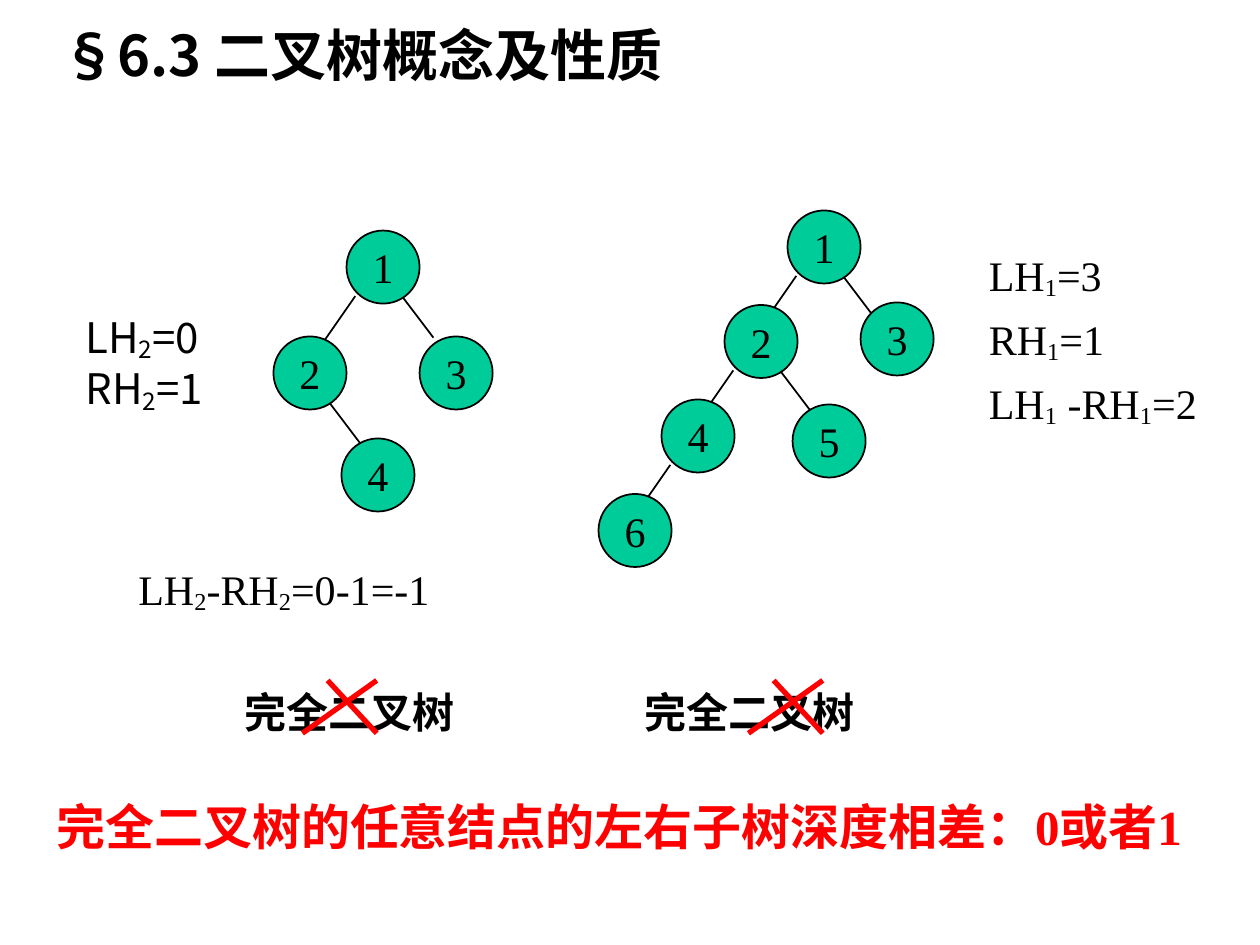
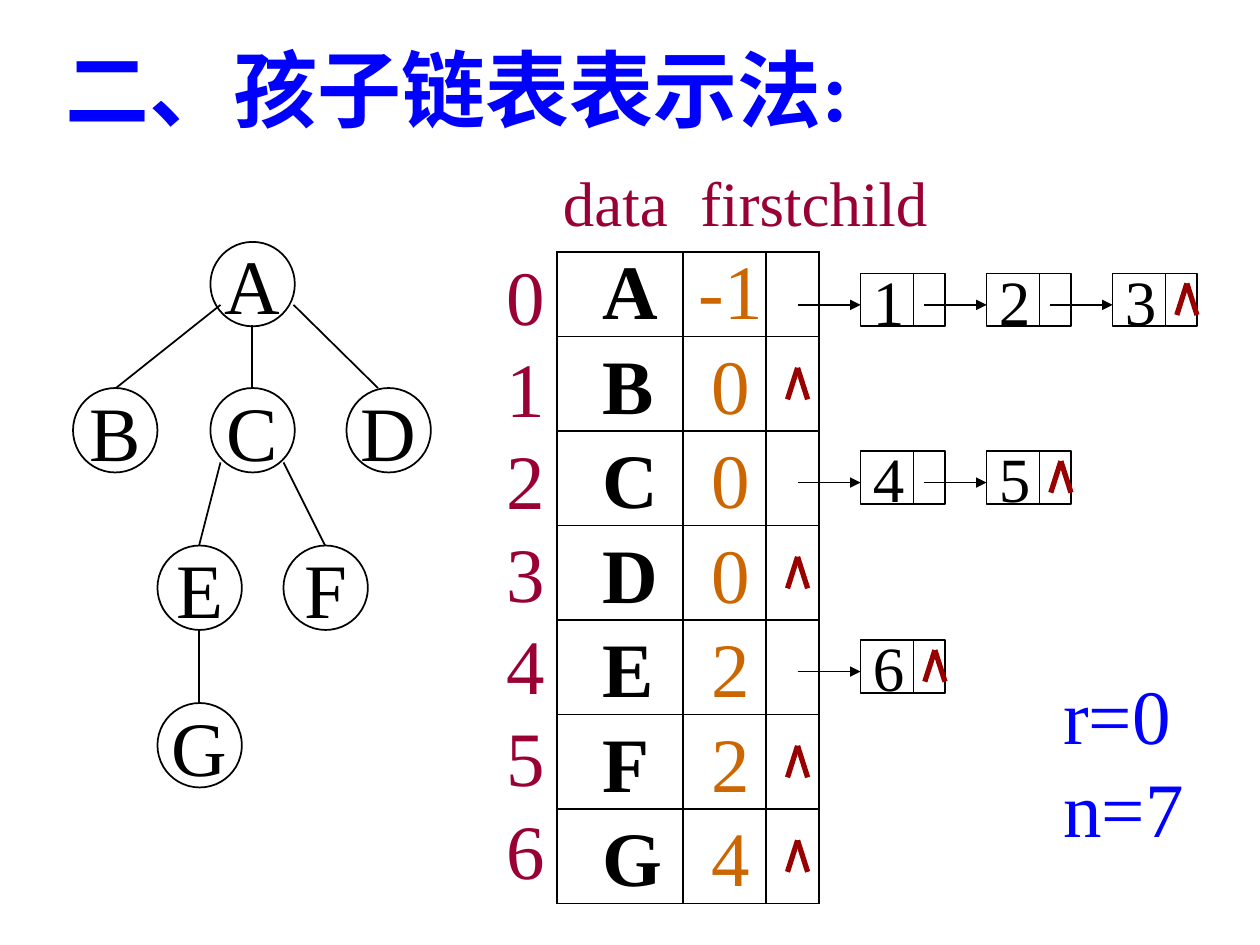
from lxml.etree import SubElement
from pptx import Presentation
from pptx.dml.color import RGBColor
from pptx.enum.shapes import MSO_CONNECTOR, MSO_SHAPE
from pptx.enum.text import MSO_ANCHOR, MSO_AUTO_SIZE, PP_ALIGN
from pptx.oxml.ns import qn
from pptx.util import Cm, Pt

COLORS = {"ink": "000000", "node": "00CC99", "alert": "FF0000", "index": "990033",
          "accent": "0000FF", "parent": "CC6600", "null": "990000"}
SERIF, SANS = "Times New Roman", "Noto Sans CJK SC"
UNIT = 2.54

TITLES = [
    dict(text="§6.3 二叉树概念及性质", box=(0, 0.17, 5.75, 0.58), font=SANS, size=32,
         color="ink", align=PP_ALIGN.CENTER, anchor=MSO_ANCHOR.BOTTOM),
    dict(text="二、孩子链表表示法:", box=(0.42, 0.25, 6.55, 0.9), font=SERIF, size=48,
         color="accent", align=PP_ALIGN.LEFT, anchor=MSO_ANCHOR.TOP),
]

BINARY_TREES = [
    dict(nodes={"1": (6.25, 1.67), "2": (5.75, 2.42), "3": (6.83, 2.4),
                "4": (5.25, 3.17), "5": (6.29, 3.21), "6": (4.75, 3.92)},
         left="124", right="12"),
    dict(nodes={"1": (2.75, 1.83), "2": (2.17, 2.67), "3": (3.33, 2.67),
                "4": (2.71, 3.48)},
         left="1", right="12"),
]
BINARY_NODE = 0.58
LEFT_EDGE = (0.07, 0.52, -0.25, 0.36)
RIGHT_EDGE = (0.44, 0.52, 0.25, 0.33)

FORMULAS = [
    (["LH|2|=0", "RH|2|=1"], (0.58, 2.42, 1.5, 0.9), dict(font=SANS)),
    (["LH|1|=3", "RH|1|=1", "LH|1| -RH|1|=2"], (7.75, 2, 2.1, 1.46),
     dict(spacing=0.8, before=13)),
    (["LH|2|-RH|2|=0-1=-1"], (1, 4.42, 2.67, 0.5), {}),
]
CROSSED = [("完全二叉树", 1.84, 2.6), ("完全二叉树", 5.02, 6.14)]
CONCLUSION = "完全二叉树的任意结点的左右子树深度相差：0或者1"

TREE_NODES = {"A": (1.67, 1.92), "B": (0.58, 3.08), "C": (1.67, 3.08),
              "D": (2.75, 3.08), "E": (1.25, 4.33), "F": (2.25, 4.33),
              "G": (1.25, 5.58)}
TREE_NODE = 0.67
TREE_EDGES = [(1.75, 2.42, 0.92, 3.08), (2, 2.58, 2, 3.08), (2.33, 2.42, 3, 3.08),
              (1.75, 3.67, 1.58, 4.33), (2.25, 3.67, 2.58, 4.33), (1.58, 5, 1.58, 5.58)]
HEADERS = [("data", 4.37, 1.2), ("firstchild", 5.46, 2.2)]
ROWS = [("A", "-1", "123"), ("B", "0", ""), ("C", "0", "45"), ("D", "0", ""),
        ("E", "2", "6"), ("F", "2", ""), ("G", "4", "")]
COLUMNS = [1, 0.66, 0.42]
TOTALS = ["r=0", "n=7"]


def cm(*values):
    return [Cm(v * UNIT) for v in values]


def rgb(name):
    return RGBColor.from_string(COLORS[name])


def set_attrs(obj, **values):
    for name, value in values.items():
        setattr(obj, name, value)


def add_run(p, text, font=SERIF, size=24, color="ink", bold=False, sub=False):
    r = p.add_run()
    r.text = text
    set_attrs(r.font, name=font, size=Pt(size), bold=bold)
    r.font.color.rgb = rgb(color)
    rPr = r._r.get_or_add_rPr()
    SubElement(rPr, qn("a:ea")).set("typeface", SANS)
    if sub:
        rPr.set("baseline", "-12000")


def write(tf, lines, align=PP_ALIGN.LEFT, spacing=None, before=0, **style):
    for i, line in enumerate(lines):
        p = tf.add_paragraph() if i else tf.paragraphs[0]
        set_attrs(p, alignment=align, line_spacing=spacing,
                  space_before=Pt(before if i else 0))
        for j, part in enumerate(line.split("|")):
            add_run(p, part, sub=j % 2 == 1, **style)


def add_text(s, lines, box, **style):
    tf = s.shapes.add_textbox(*cm(*box)).text_frame
    tf.word_wrap = True
    write(tf, lines, **style)


def add_line(shapes, x1, y1, x2, y2, color="ink", width=1, arrow=False):
    c = shapes.add_connector(MSO_CONNECTOR.STRAIGHT, *cm(x1, y1, x2, y2))
    c.line.color.rgb = rgb(color)
    c.line.width = Pt(width)
    if arrow:
        SubElement(c.line._get_or_add_ln(), qn("a:tailEnd")).set("type", "triangle")
    SubElement(c._element.spPr, qn("a:effectLst"))


def add_box(shapes, kind, box, text, fill=None, inset=0, align=PP_ALIGN.CENTER, **style):
    sp = shapes.add_shape(kind, *cm(*box))
    sp.shadow.inherit = False
    if fill:
        sp.fill.solid()
        sp.fill.fore_color.rgb = rgb(fill)
    else:
        sp.fill.background()
    sp.line.color.rgb = rgb("ink")
    sp.line.width = Pt(1)
    tf = sp.text_frame
    set_attrs(tf, word_wrap=align == PP_ALIGN.LEFT, vertical_anchor=MSO_ANCHOR.MIDDLE,
              margin_left=Cm(inset * UNIT), margin_right=0, margin_top=0, margin_bottom=0)
    write(tf, [text], align=align, **style)


def add_slide(prs, title):
    s = prs.slides.add_slide(prs.slide_layouts[5])
    sp = s.shapes.title
    left, top, width, height = cm(*title["box"])
    set_attrs(sp, left=left, top=top, width=width, height=height)
    tf = sp.text_frame
    set_attrs(tf, auto_size=MSO_AUTO_SIZE.NONE, word_wrap=True,
              vertical_anchor=title["anchor"])
    write(tf, [title["text"]], align=title["align"], font=title["font"],
          size=title["size"], color=title["color"], bold=True)
    return s


def add_binary_tree(s, tree):
    shapes = s.shapes.add_group_shape().shapes
    for parents, (dx, dy, w, h) in ((tree["left"], LEFT_EDGE), (tree["right"], RIGHT_EDGE)):
        for parent in parents:
            x, y = tree["nodes"][parent]
            add_line(shapes, x + dx, y + dy, x + dx + w, y + dy + h)
    for label, (x, y) in tree["nodes"].items():
        add_box(shapes, MSO_SHAPE.OVAL, (x, y, BINARY_NODE, BINARY_NODE), label, fill="node")


def add_cross(s, x, y):
    shapes = s.shapes.add_group_shape().shapes
    for start, end in ((x, x + 0.39), (x + 0.39, x - 0.2)):
        add_line(shapes, start, y, end, y + 0.42, "alert", 3)


def add_null(s, x, y):
    for dx in (-0.08, 0.08):
        add_line(s.shapes, x, y, x + dx, y + 0.25, "null", 3)


def set_borders(cell):
    tcPr = cell._tc.get_or_add_tcPr()
    for side in ("lnL", "lnR", "lnT", "lnB"):
        ln = SubElement(tcPr, qn("a:" + side), w=str(Pt(1)))
        fill = SubElement(ln, qn("a:solidFill"))
        SubElement(fill, qn("a:srgbClr")).set("val", COLORS["ink"])


def add_node_table(s):
    table = s.shapes.add_table(len(ROWS), 3, *cm(4.42, 2, sum(COLUMNS), 5.17)).table
    set_attrs(table, first_row=False, horz_banding=False)
    for column, width in zip(table.columns, COLUMNS):
        column.width = Cm(width * UNIT)
    styles = [(0.36, dict(bold=True)),
              (0.1, dict(color="parent", align=PP_ALIGN.CENTER))]
    for i, row in enumerate(ROWS):
        table.rows[i].height = Cm((0.75 if i else 0.67) * UNIT)
        for j in range(3):
            cell = table.cell(i, j)
            set_borders(cell)
            cell.fill.background()
            set_attrs(cell, margin_left=0, margin_right=0, margin_top=0, margin_bottom=0,
                      vertical_anchor=MSO_ANCHOR.BOTTOM)
            if j < 2:
                inset, style = styles[j]
                cell.margin_left = Cm(inset * UNIT)
                write(cell.text_frame, [row[j]], size=44, spacing=Pt(44), **style)


def add_child_list(s, row, children):
    if not children:
        add_null(s, 6.33, 2.17 + 0.75 * row)
        return
    y = max(2.17, 2.08 + 0.75 * row)
    for i, child in enumerate(children):
        x = 6.83 + i
        add_box(s.shapes, MSO_SHAPE.RECTANGLE, (x, y, 0.67, 0.42), child,
                inset=0.1, align=PP_ALIGN.LEFT, size=36)
        add_line(s.shapes, x + 0.42, y, x + 0.42, y + 0.42)
        add_line(s.shapes, x - 0.5, y + 0.25, x, y + 0.25, arrow=True)
    add_null(s, x + 0.59, y + 0.08)


prs = Presentation()
prs.slide_width, prs.slide_height = cm(10, 7.5)

s = add_slide(prs, TITLES[0])
for tree in BINARY_TREES:
    add_binary_tree(s, tree)
for lines, box, style in FORMULAS:
    add_text(s, lines, box, **style)
for text, x, cross in CROSSED:
    add_text(s, [text], (x, 5.4, 2, 0.5), bold=True)
    add_cross(s, cross, 5.4)
add_text(s, [CONCLUSION], (0.35, 6.27, 9.65, 0.57), size=28, color="alert", bold=True)

s = add_slide(prs, TITLES[1])
for label, (x, y) in TREE_NODES.items():
    add_box(s.shapes, MSO_SHAPE.OVAL, (x, y, TREE_NODE, TREE_NODE), label, size=44)
for edge in TREE_EDGES:
    add_line(s.shapes, *edge)
for text, x, width in HEADERS:
    add_text(s, [text], (x, 1.25, width, 0.7), size=36, color="index")
add_text(s, [str(i) for i in range(len(ROWS))], (3.92, 1.92, 0.52, 5.23),
         size=44, color="index")
add_node_table(s)
for i, (_, _, children) in enumerate(ROWS):
    add_child_list(s, i, children)
add_text(s, TOTALS, (8.34, 5.25, 1.4, 1.57), size=44, color="accent")

prs.save("out.pptx")
